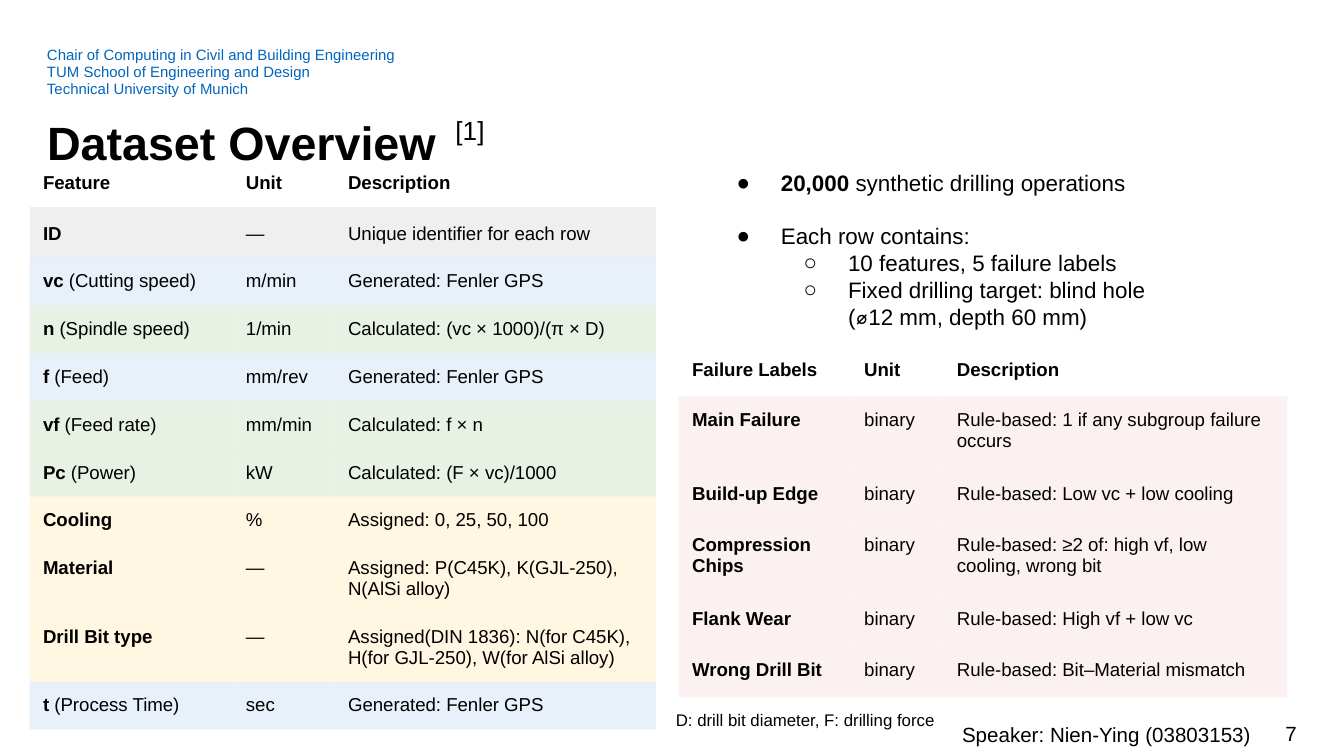
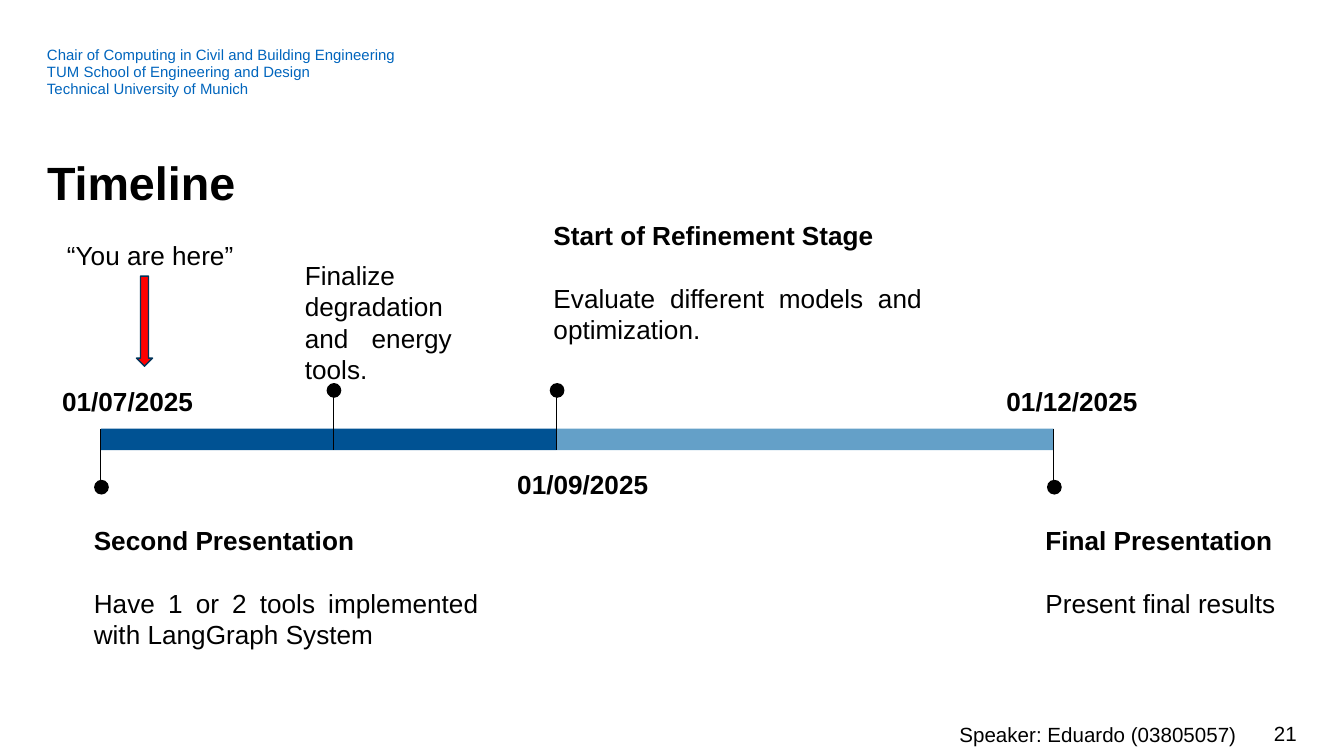
"""Build the dataset overview and timeline slides."""
import pptx
import pptx.dml.color
import pptx.enum.shapes
import pptx.enum.text
import pptx.oxml.ns
import pptx.util
from lxml import etree

PX = 9144
FONT = "Arial"
HUES = {
    "ink": "000000", "link": "0065BD", "dark": "005293", "light": "64A0C8",
    "red": "FF0000", "edge": "003359", "gray": "EFEFEF", "blue": "CFE2F3",
    "green": "D9EAD3", "gold": "FFF2CC", "pink": "F4CCCC",
}
ALPHA = {"blue": 48, "green": 60, "gold": 57, "pink": 26}
PLAIN = "{2D5ABB26-0587-4C30-8999-92F81FD0307C}"
HEAD = ["Chair of Computing in Civil and Building Engineering",
        "TUM School of Engineering and Design",
        "Technical University of Munich"]
KIND = pptx.enum.shapes.MSO_SHAPE
ALIGN = pptx.enum.text.PP_ALIGN
ANCHOR = pptx.enum.text.MSO_ANCHOR

COLS = [("*Feature*", "*Unit*", "*Description*", None)]
FEATS = COLS + [
    ("*ID*", "—", "Unique identifier for each row", "gray"),
    ("*vc* (Cutting speed)", "m/min", "Generated: Fenler GPS", "blue"),
    ("*n* (Spindle speed)", "1/min", "Calculated: (vc × 1000)/(π × D)", "green"),
    ("*f* (Feed)", "mm/rev", "Generated: Fenler GPS", "blue"),
    ("*vf* (Feed rate)", "mm/min", "Calculated: f × n", "green"),
    ("*Pc* (Power)", "kW", "Calculated: (F × vc)/1000", "green"),
    ("*Cooling*", "%", "Assigned: 0, 25, 50, 100", "gold"),
    ("*Material*", "—", "Assigned: P(C45K), K(GJL-250), N(AlSi alloy)", "gold"),
    ("*Drill Bit type*", "—",
     "Assigned(DIN 1836): N(for C45K), H(for GJL-250), W(for AlSi alloy)", "gold"),
    ("*t* (Process Time)", "sec", "Generated: Fenler GPS", "blue"),
]
FAILS = [("*Failure Labels*", "*Unit*", "*Description*", None)] + [
    (f"*{name}*", "binary", f"Rule-based: {rule}", "pink") for name, rule in [
        ("Main Failure", "1 if any subgroup failure occurs"),
        ("Build-up Edge", "Low vc + low cooling"),
        ("Compression Chips", "≥2 of: high vf, low cooling, wrong bit"),
        ("Flank Wear", "High vf + low vc"),
        ("Wrong Drill Bit", "Bit–Material mismatch"),
    ]]
NOTES = [(0, "*20,000* synthetic drilling operations", 0),
         (0, "Each row contains:", 14),
         (1, "10 features, 5 failure labels", 0),
         (1, "Fixed drilling target: blind hole\n(⌀12 mm, depth 60 mm)", 0)]


def rgb(name):
    """Return the named colour."""
    return pptx.dml.color.RGBColor.from_string(HUES[name])


def area(x, y, w, h):
    """Turn a px frame into EMU."""
    return [v * PX for v in (x, y, w, h)]


def write(para, text, size=14, color="ink", align=ALIGN.LEFT, line=1.0, before=0):
    """Write text into a paragraph, with *bold* parts and line breaks."""
    para.alignment = align
    para.line_spacing = line
    para.space_before = pptx.util.Pt(before)
    for i, part in enumerate(text.split("*")):
        for j, row in enumerate(part.split("\n")):
            if j:
                para.add_line_break()
            if row:
                run = para.add_run()
                run.text = row
                font = run.font
                font.name, font.size = FONT, pptx.util.Pt(size)
                font.bold = i % 2 == 1
                font.color.rgb = rgb(color)
    for gap in para._p.findall(pptx.oxml.ns.qn("a:br")):
        etree.SubElement(gap, pptx.oxml.ns.qn("a:rPr"), sz=str(size * 100))


def frame(shape, side=10, top=10, anchor=ANCHOR.TOP):
    """Set the insets and wrap of a shape's text and return its frame."""
    body = shape.text_frame
    body.word_wrap = True
    body.auto_size = pptx.enum.text.MSO_AUTO_SIZE.NONE
    body.vertical_anchor = anchor
    body.margin_left = body.margin_right = side * PX
    body.margin_top = body.margin_bottom = top * PX
    return body


def label(slide, rows, spot, gap=0, inset=None, **form):
    """Add a text box with one paragraph per row."""
    box = slide.shapes.add_textbox(*area(*spot))
    body = frame(box, **(inset or {}))
    for i, row in enumerate(rows):
        para = body.add_paragraph() if i else body.paragraphs[0]
        write(para, row, before=gap if i else 0, **form)
    return box


def place(shape, spot):
    """Move a placeholder to a px frame."""
    shape.left, shape.top, shape.width, shape.height = area(*spot)


def brand(deck, slide):
    """Move the shared header from a slide to the master."""
    box = label(slide, HEAD, (35, 35, 783, 38), inset={"side": 0, "top": 0},
                size=8, color="link", line=0.94)
    box.element.xpath(".//p:cNvPr")[0].set("id", "99")
    deck.slide_master.shapes.element.append(box.element)


def start(deck, kind, title, top, name, left, width, page):
    """Add a slide with its title, speaker and page number."""
    slide = deck.slides.add_slide(deck.slide_layouts[kind])
    head = slide.shapes.title
    place(head, (35, top, 931, 42))
    write(frame(head, 0, 0).paragraphs[0], f"*{title}*", size=25, line=1.28)
    label(slide, [page], (741, 531, 224, 30), size=11, align=ALIGN.RIGHT,
          inset={"side": 0, "top": 5, "anchor": ANCHOR.MIDDLE})
    label(slide, [f"Speaker: {name}"], (left, 527, width, 39), size=11)
    return slide


def grid(slide, x, y, cols, highs, rows, loose):
    """Add a table whose rows end in a fill name."""
    shape = slide.shapes.add_table(
        len(rows), len(cols), *area(x, y, sum(cols), sum(highs)))
    table = shape.table
    table.first_row = table.horz_banding = False
    table._tbl.tblPr.find(pptx.oxml.ns.qn("a:tableStyleId")).text = PLAIN
    for col, wide in zip(table.columns, cols):
        col.width = wide * PX
    for r, (*texts, hue) in enumerate(rows):
        table.rows[r].height = highs[r] * PX
        for c, text in enumerate(texts):
            cell = table.cell(r, c)
            cell.margin_left = cell.margin_right = 10 * PX
            cell.margin_top = cell.margin_bottom = 10 * PX
            write(cell.text_frame.paragraphs[0], text, size=10,
                  line=1.15 if r < loose else 1.0)
            tint(cell, hue)


def tint(cell, hue):
    """Fill a cell, partly clear where the colour calls for it."""
    if hue is None:
        cell.fill.background()
        return
    cell.fill.solid()
    cell.fill.fore_color.rgb = rgb(hue)
    if hue in ALPHA:
        tone = cell._tc.tcPr.find(".//" + pptx.oxml.ns.qn("a:srgbClr"))
        etree.SubElement(tone, pptx.oxml.ns.qn("a:alpha"), val=str(ALPHA[hue] * 1000))


def bullets(shape, rows, size):
    """Fill the body placeholder with a two-level list."""
    body = frame(shape)
    for i, (level, text, gap) in enumerate(rows):
        para = body.add_paragraph() if i else body.paragraphs[0]
        para.level = level
        props = para._p.get_or_add_pPr()
        props.set("marL", str(50 * (level + 1) * PX))
        props.set("indent", str(-33 * PX))
        etree.SubElement(props, pptx.oxml.ns.qn("a:buFont"), typeface=FONT)
        etree.SubElement(props, pptx.oxml.ns.qn("a:buChar"), char="●○"[level])
        write(para, text, size=size, before=gap)


def block(slide, kind, spot, fill, edge=None):
    """Add a filled shape."""
    shape = slide.shapes.add_shape(kind, *area(*spot))
    shape.shadow.inherit = False
    shape.fill.solid()
    shape.fill.fore_color.rgb = rgb(fill)
    if edge:
        shape.line.color.rgb = rgb(edge)
        shape.line.width = pptx.util.Pt(0.75)
    else:
        shape.line.fill.background()
    return shape


def pin(slide, x, head, foot):
    """Add a marker line with a dot at its head."""
    line = slide.shapes.add_connector(
        pptx.enum.shapes.MSO_CONNECTOR.STRAIGHT, *area(x, head, x, foot))
    line.line.color.rgb = rgb("ink")
    line.line.width = pptx.util.Pt(0.75)
    etree.SubElement(line.element.spPr, pptx.oxml.ns.qn("a:effectLst"))
    block(slide, KIND.OVAL, (x - 5, head - 6, 11, 11), "ink")


def data(deck):
    """Build the dataset slide."""
    slide = start(deck, 1, "Dataset Overview", 73,
                  "Nien-Ying (03803153)", 706, 243, "7")
    brand(deck, slide)
    grid(slide, 22, 116, [151, 76, 239],
         [36] * 2 + [35] * 6 + [50] * 2 + [35], FEATS, 2)
    grid(slide, 505, 255, [128, 69, 256], [40, 55, 38, 55, 38, 38], FAILS, 1)
    body = slide.placeholders[1]
    place(body, (521, 116, 431, 139))
    bullets(body, NOTES, 12)
    label(slide, ["D: drill bit diameter, F: drilling force"],
          (493, 518, 328, 35), size=9)
    label(slide, ["[1]"], (329, 72, 328, 44), line=1.14)


def times(deck):
    """Build the timeline slide."""
    slide = start(deck, 5, "Timeline", 103, "Eduardo (03805057)", 704, 231, "21")
    first, tools, refine, last = 75, 248, 414, 784
    for x, end, hue in [(first, refine, "dark"), (refine, last, "light")]:
        block(slide, KIND.RECTANGLE, (x, 319, end - x, 16), hue)
    for x in (tools, refine):
        pin(slide, x, 291, 335)
    for x in (first, last):
        pin(slide, x, 363, 319)
    for date, x, y, side in [("01/07/2025", 31, 273, ALIGN.CENTER),
                             ("01/09/2025", 375, 335, ALIGN.LEFT),
                             ("01/12/2025", 739, 273, ALIGN.LEFT)]:
        label(slide, [f"*{date}*"], (x, y, 128, 45), line=1.15, align=side)
    full = ALIGN.JUSTIFY
    for rows, x, y, wide, side in [
            (["*Start of Refinement Stage*",
              "Evaluate different models and optimization."], 402, 153, 294, full),
            (["*Second Presentation*",
              "Have 1 or 2 tools implemented with LangGraph System"],
             60, 380, 306, full),
            (["*Final Presentation*", "Present final results"],
             768, 380, 232, ALIGN.LEFT),
            (["Finalize degradation and energy tools."], 217, 183, 129, full)]:
        label(slide, rows, (x, y, wide, 114), gap=17, align=side)
    block(slide, KIND.RIGHT_ARROW, (74, 233, 67, 12), "red", "edge").rotation = 90
    label(slide, ["“You are here”"], (40, 168, 190, 30))


def main():
    """Build and save the deck."""
    deck = pptx.Presentation()
    deck.slide_width = 1000 * PX
    deck.slide_height = deck.slide_width * 9 // 16
    data(deck)
    times(deck)
    deck.save("out.pptx")


if __name__ == "__main__":
    main()
